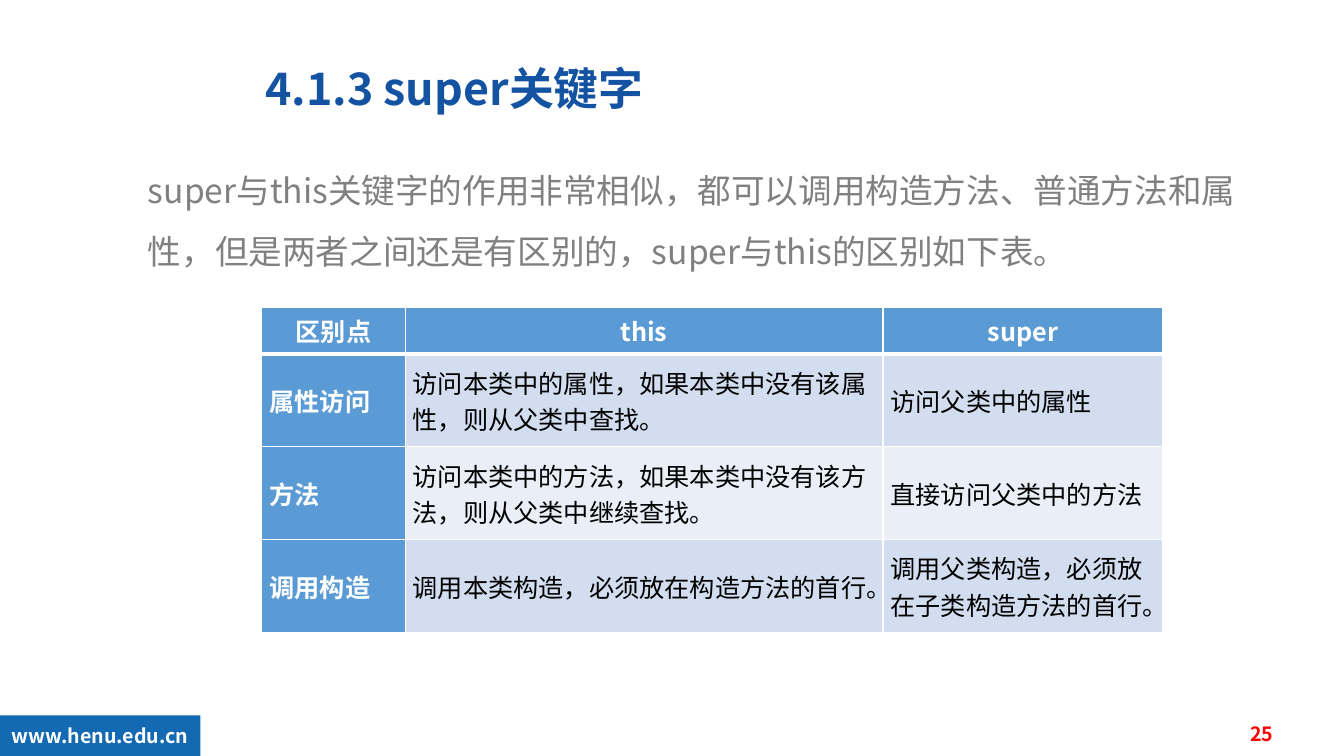
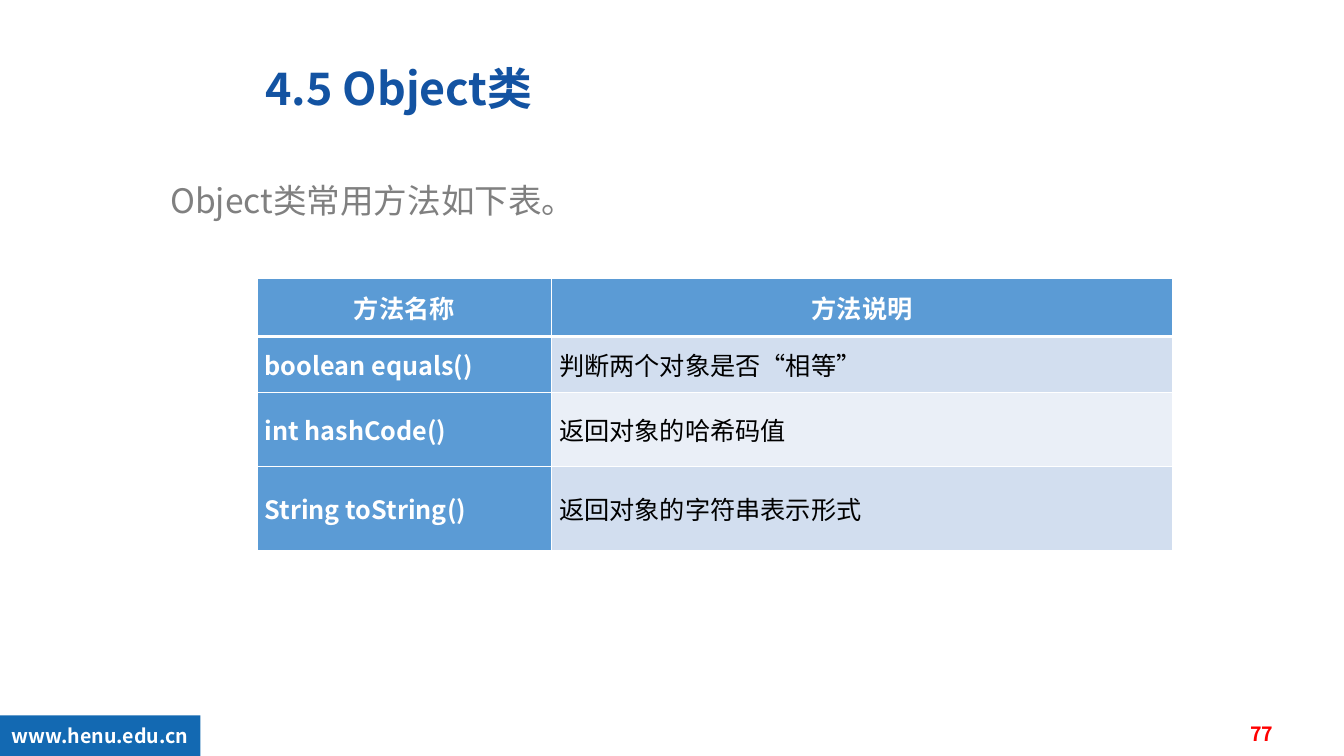
import dataclasses

import lxml.etree
import pptx
import pptx.dml.color
import pptx.enum.lang
import pptx.enum.shapes
import pptx.enum.text
import pptx.oxml.ns
import pptx.util

Cm = pptx.util.Cm
Pt = pptx.util.Pt
ALIGN = pptx.enum.text.PP_ALIGN
MIDDLE = pptx.enum.text.MSO_ANCHOR.MIDDLE
qn = pptx.oxml.ns.qn


@dataclasses.dataclass(frozen=True)
class Theme:
    font: str = "Noto Sans CJK SC"
    title: str = "1353A2"
    body: str = "808080"
    band: str = "1369B2"
    white: str = "FFFFFF"
    black: str = "000000"
    number: str = "FF0000"
    head_fill: str = "5B9BD5"
    row_fills: tuple = ("D2DEEF", "EAEFF7")
    title_size: int = 32
    body_size: int = 24
    table_size: int = 18
    footer_size: int = 14
    border: int = 1
    head_border: int = 3


THEME = Theme()


def rgb(value):
    return pptx.dml.color.RGBColor.from_string(value)


def write(frame, text, *, size, color, bold=False, align=ALIGN.LEFT,
          spacing=None, anchor=None):
    """Put one formatted paragraph into a text frame."""
    frame.word_wrap = True
    if anchor is not None:
        frame.vertical_anchor = anchor
    paragraph = frame.paragraphs[0]
    paragraph.alignment = align
    if spacing:
        paragraph.line_spacing = spacing
    run = paragraph.add_run()
    run.text = text
    font = run.font
    font.size, font.bold, font.name = Pt(size), bold, THEME.font
    font.color.rgb = rgb(color)
    font.language_id = pptx.enum.lang.MSO_LANGUAGE_ID.SIMPLIFIED_CHINESE
    # East Asian typeface
    properties = run._r.get_or_add_rPr()
    east_asian = lxml.etree.Element(qn("a:ea"), typeface=THEME.font)
    properties.find(qn("a:latin")).addnext(east_asian)


def add_text(slide, box, text, **text_format):
    label = slide.shapes.add_textbox(*map(Cm, box))
    write(label.text_frame, text, **text_format)


def set_borders(cell, **widths):
    """Draw white cell borders, ahead of the fill as the schema asks."""
    properties = cell._tc.get_or_add_tcPr()
    for position, side in enumerate("LRTB"):
        width = Pt(widths.get(side, THEME.border))
        line = lxml.etree.Element(qn(f"a:ln{side}"), w=str(width))
        fill = lxml.etree.SubElement(line, qn("a:solidFill"))
        lxml.etree.SubElement(fill, qn("a:srgbClr"), val=THEME.white)
        properties.insert(position, line)


def add_comparison(slide, left, top, widths, heights, rows):
    """Table with a header row, a header column and banded rows."""
    grid = slide.shapes.add_table(
        len(rows), len(widths), Cm(left), Cm(top),
        Cm(sum(widths)), Cm(sum(heights))).table
    for column, width in zip(grid.columns, widths):
        column.width = Cm(width)
    for row, height in zip(grid.rows, heights):
        row.height = Cm(height)

    for r, texts in enumerate(rows):
        for c, text in enumerate(texts):
            cell = grid.cell(r, c)
            is_head = r == 0 or c == 0
            cell.margin_left = cell.margin_right = Cm(0.19)
            cell.margin_top = cell.margin_bottom = 0
            cell.vertical_anchor = MIDDLE
            cell.fill.solid()
            cell.fill.fore_color.rgb = rgb(
                THEME.head_fill if is_head else THEME.row_fills[(r - 1) % 2])
            write(cell.text_frame, text, size=THEME.table_size, bold=is_head,
                  color=THEME.white if is_head else THEME.black,
                  align=ALIGN.CENTER if r == 0 else ALIGN.LEFT)
            set_borders(cell,
                        B=THEME.head_border if r == 0 else THEME.border,
                        T=THEME.head_border if r == 1 else THEME.border)


def add_footer(slide, number):
    # Web address band
    band = slide.shapes.add_shape(
        pptx.enum.shapes.MSO_SHAPE.RECTANGLE,
        Cm(0), Cm(18.03), Cm(5.05), Cm(1.02))
    band.shadow.inherit = False
    band.fill.solid()
    band.fill.fore_color.rgb = rgb(THEME.band)
    band.line.fill.background()
    write(band.text_frame, "www.henu.edu.cn", size=THEME.footer_size,
          color=THEME.white, bold=True, align=ALIGN.CENTER, anchor=MIDDLE)
    # Slide number
    add_text(slide, (31.14, 18.14, 1.32, 0.71), str(number),
             size=THEME.footer_size, color=THEME.number, bold=True,
             align=ALIGN.CENTER, spacing=0.9)


def add_table_slide(deck, title, intro, intro_box, table, number):
    slide = deck.slides.add_slide(deck.slide_layouts[6])
    add_text(slide, (6.43, 1.4, 20.5, 1.63), title,
             size=THEME.title_size, color=THEME.title, bold=True)
    add_text(slide, intro_box, intro,
             size=THEME.body_size, color=THEME.body, spacing=1.5)
    add_comparison(slide, **table)
    add_footer(slide, number)


def main():
    deck = pptx.Presentation()
    deck.slide_width, deck.slide_height = Cm(33.87), Cm(19.05)

    # super and this compared
    add_table_slide(
        deck, "4.1.3 super关键字",
        "super与this关键字的作用非常相似，都可以调用构造方法、普通方法和属性，"
        "但是两者之间还是有区别的，super与this的区别如下表。",
        (3.48, 3.66, 28.52, 3.73),
        dict(left=6.6, top=7.75, widths=(3.61, 12.04, 7.06),
             heights=(1.17,) + (2.34,) * 3,
             rows=(
                 ("区别点", "this", "super"),
                 ("属性访问",
                  "访问本类中的属性，如果本类中没有该属性，则从父类中查找。",
                  "访问父类中的属性"),
                 ("方法",
                  "访问本类中的方法，如果本类中没有该方法，则从父类中继续查找。",
                  "直接访问父类中的方法"),
                 ("调用构造",
                  "调用本类构造，必须放在构造方法的首行。",
                  "调用父类构造，必须放在子类构造方法的首行。"))),
        25)

    # Common methods of Object
    add_table_slide(
        deck, "4.5 Object类", "Object类常用方法如下表。",
        (4.04, 3.89, 27.13, 2.54),
        dict(left=6.48, top=7.01, widths=(7.42, 15.65),
             heights=(1.47, 1.42, 1.85, 2.13),
             rows=(
                 ("方法名称", "方法说明"),
                 ("boolean equals()", "判断两个对象是否“相等”"),
                 ("int hashCode()", "返回对象的哈希码值"),
                 ("String toString()", "返回对象的字符串表示形式"))),
        77)

    deck.save("out.pptx")


if __name__ == "__main__":
    main()
